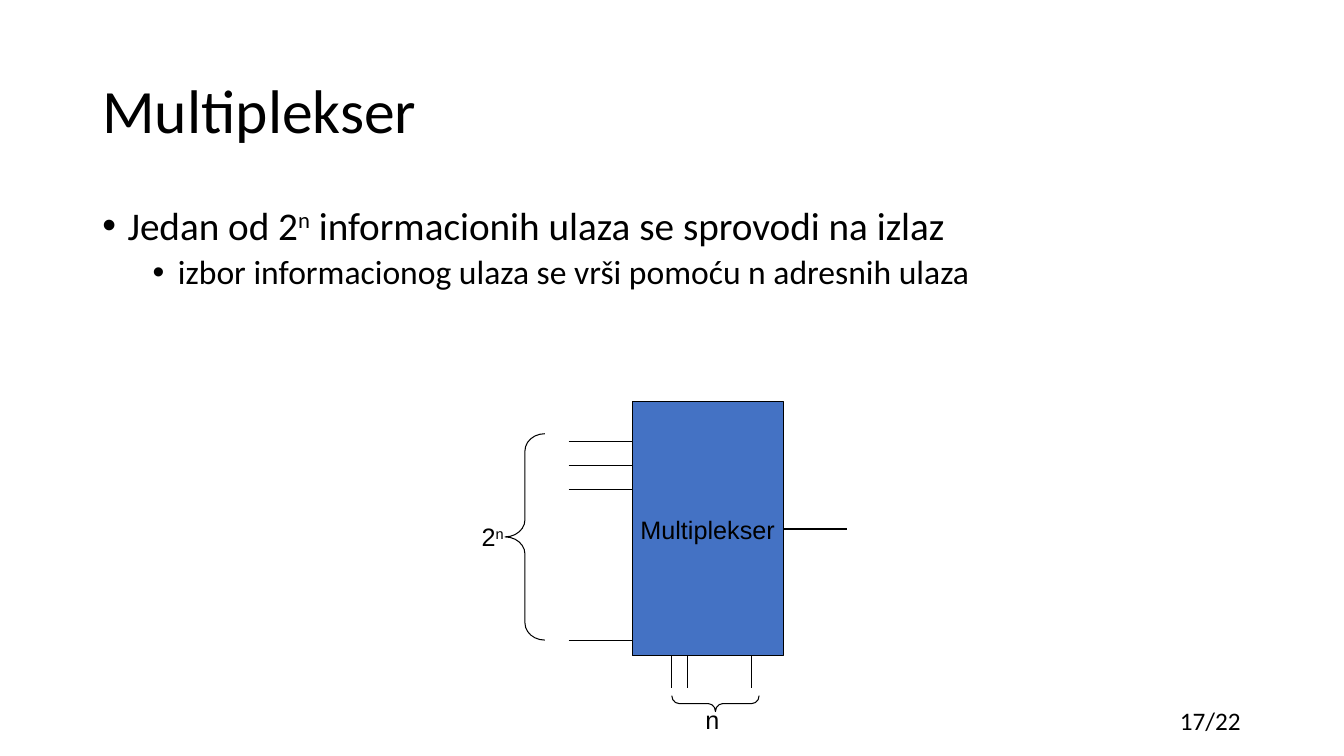
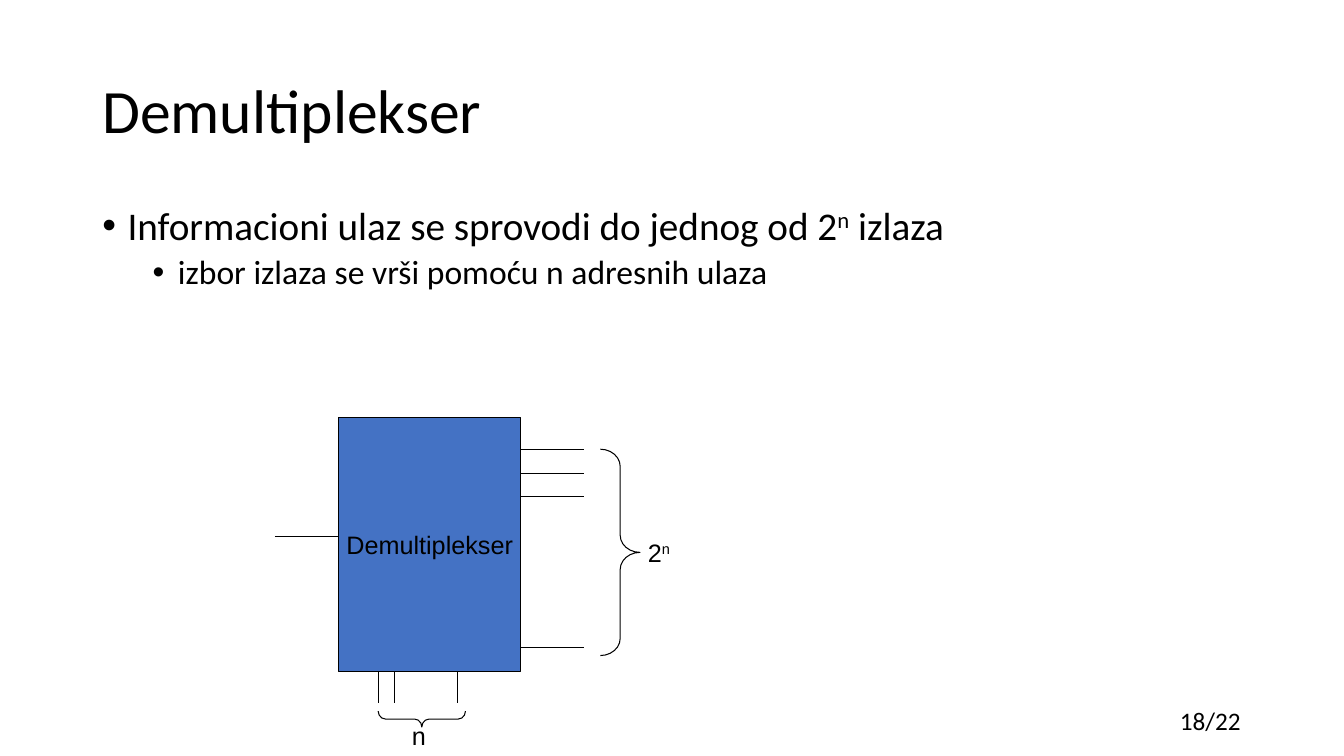
from lxml.etree import SubElement
from pptx import Presentation
from pptx.dml.color import RGBColor
from pptx.enum.shapes import MSO_CONNECTOR as Conn, MSO_SHAPE as Geo
from pptx.enum.text import MSO_ANCHOR as Anchor, PP_ALIGN as Align
from pptx.oxml.ns import qn
from pptx.util import Cm, Pt

BLACK, BLUE = "000000", "4472C4"
SLIDES = [
    dict(title="Multiplekser", page="17/22", many="left",
         box=(15.93, 10.13, 3.81, 6.4), first=1.0,
         points=["Jedan od 2^n^ informacionih ulaza se sprovodi na izlaz",
                 "izbor informacionog ulaza se vrši pomoću n adresnih ulaza"]),
    dict(title="Demultiplekser", page="18/22", many="right",
         box=(8.53, 10.52, 4.6, 6.4), first=0.8,
         points=["Informacioni ulaz se sprovodi do jednog od 2^n^ izlaza",
                 "izbor izlaza se vrši pomoću n adresnih ulaza"]),
]
LEVELS = [dict(size=28, gap=10, left=0.635), dict(size=24, gap=5, left=1.905)]
HANG = 0.635
DATA = [0, 0.6, 1.2, 5]
ADDRESS = [1, 1.4, 3]
PIN, STUB = 1.6, 0.8


def tint(code):
    return RGBColor.from_string(code)


def write(para, text, size, font):
    for i, part in enumerate(text.split("^")):
        run = para.add_run()
        run.text = part
        for key, val in dict(size=Pt(size), name=font).items():
            setattr(run.font, key, val)
        run.font.color.rgb = tint(BLACK)
        if i % 2:
            run._r.get_or_add_rPr().set("baseline", "30000")


def text(slide, place, words, size, font="Calibri", **form):
    frame = slide.shapes.add_textbox(*map(Cm, place)).text_frame
    for key, val in {"word_wrap": True, **form}.items():
        setattr(frame, key, val)
    if words:
        write(frame.paragraphs[0], words, size, font)
    return frame


def shape(slide, kind, place, fill=None):
    item = slide.shapes.add_shape(kind, *map(Cm, place))
    item.shadow.inherit = False
    if fill:
        item.fill.solid()
        item.fill.fore_color.rgb = tint(fill)
    else:
        item.fill.background()
    item.line.color.rgb = tint(BLACK)
    item.line.width = Pt(0.75)
    return item


def brace(slide, kind, place, bend):
    item = shape(slide, kind, place)
    item.adjustments[0] = bend
    return item


def wire(slide, *ends):
    line = slide.shapes.add_connector(Conn.STRAIGHT, *map(Cm, ends))
    line.line.color.rgb = tint(BLACK)
    line.line.width = Pt(0.75)
    SubElement(line._element.spPr, qn("a:effectLst"))


def frame(slide, data):
    page = text(slide, (23.72, 17.65, 7.8, 1.02), data["page"], 18)
    page.paragraphs[0].alignment = Align.RIGHT
    head = text(slide, (2.33, 1.02, 29.21, 3.68), data["title"], 44,
                vertical_anchor=Anchor.MIDDLE)
    head.paragraphs[0].line_spacing = 0.9
    body = text(slide, (2.33, 5.08, 29.21, 12.09), "", 28)
    for i, (words, level) in enumerate(zip(data["points"], LEVELS)):
        para = body.add_paragraph() if i else body.paragraphs[0]
        form = dict(level=i, line_spacing=0.9, space_before=Pt(level["gap"]))
        for key, val in form.items():
            setattr(para, key, val)
        props = para._p.get_or_add_pPr()
        props.set("marL", str(Cm(level["left"])))
        props.set("indent", str(-Cm(HANG)))
        SubElement(props, qn("a:buFont"), typeface="Arial")
        SubElement(props, qn("a:buChar"), char="•")
        write(para, words, level["size"], "Calibri")


def circuit(slide, data):
    left, top, width, height = data["box"]
    right, base = left + width, top + height
    block = shape(slide, Geo.RECTANGLE, data["box"], BLUE)
    block.text_frame.word_wrap = False
    block.text_frame.vertical_anchor = Anchor.MIDDLE
    name = block.text_frame.paragraphs[0]
    name.alignment = Align.CENTER
    write(name, data["title"], 18, "Arial")

    ins, outs = (left - PIN, left), (right, right + PIN)
    if data["many"] == "left":
        many, one = ins, outs
        kind, curl, label = Geo.LEFT_BRACE, left - 3.2, left - 3.79
    else:
        many, one = outs, ins
        kind, curl, label = Geo.RIGHT_BRACE, right + 2, right + 3.2
    start = top + data["first"]
    for step in DATA:
        wire(slide, many[0], start + step, many[1], start + step)
    wire(slide, one[0], start + 2.2, one[1], start + 2.2)
    for step in ADDRESS:
        wire(slide, left + step, base, left + step, base + STUB)

    brace(slide, kind, (curl, top + 0.8, 1, 5.2), 0.433)
    under = brace(slide, Geo.RIGHT_BRACE, (left + 1.9, base + 0.1, 0.4, 2.2), 0.457)
    under.rotation = 90
    text(slide, (label, top + 2.9, 0.8, 1), "2^n^", 18, "Arial", word_wrap=False,
         margin_left=0, margin_right=0, vertical_anchor=Anchor.MIDDLE)
    text(slide, (left + 1.6, base + 1.1, 1.2, 1.02), "n", 18, "Arial")


deck = Presentation()
deck.slide_width, deck.slide_height = Cm(33.87), Cm(19.05)
for data in SLIDES:
    slide = deck.slides.add_slide(deck.slide_layouts[6])
    frame(slide, data)
    circuit(slide, data)
deck.save("out.pptx")
